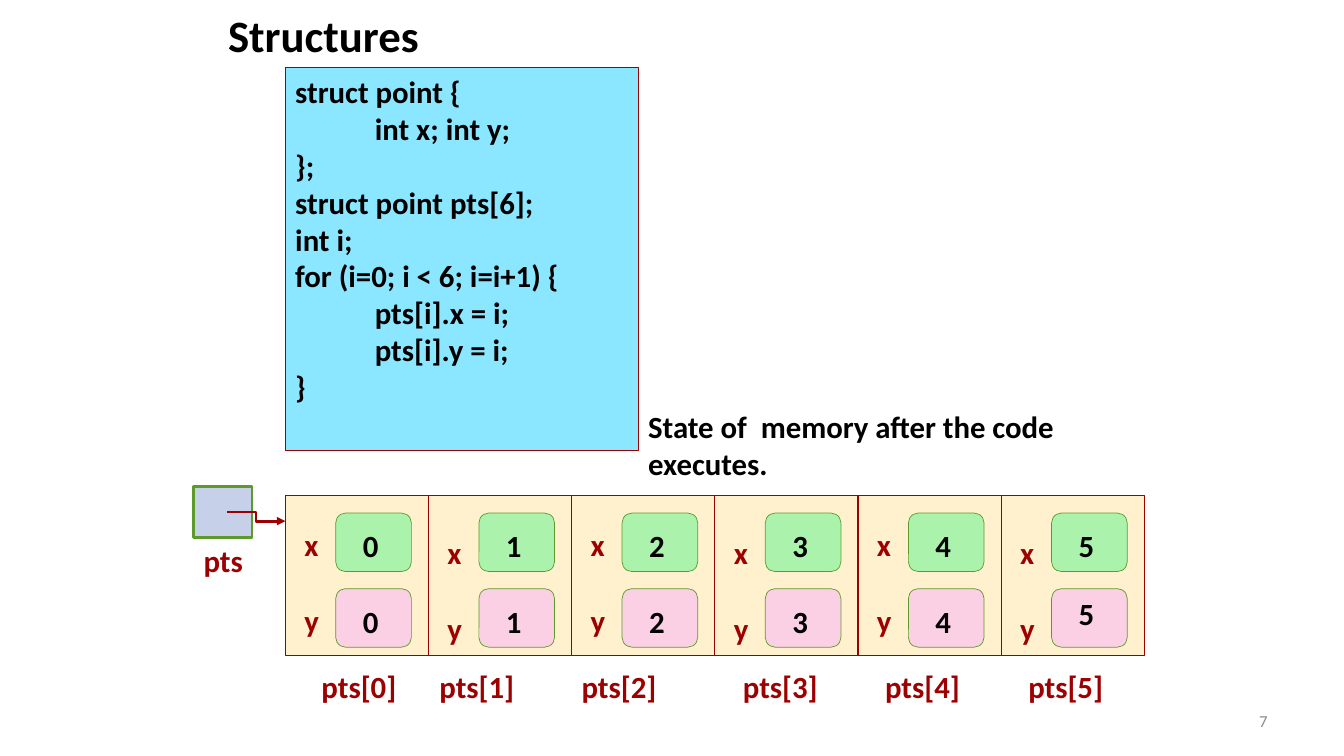
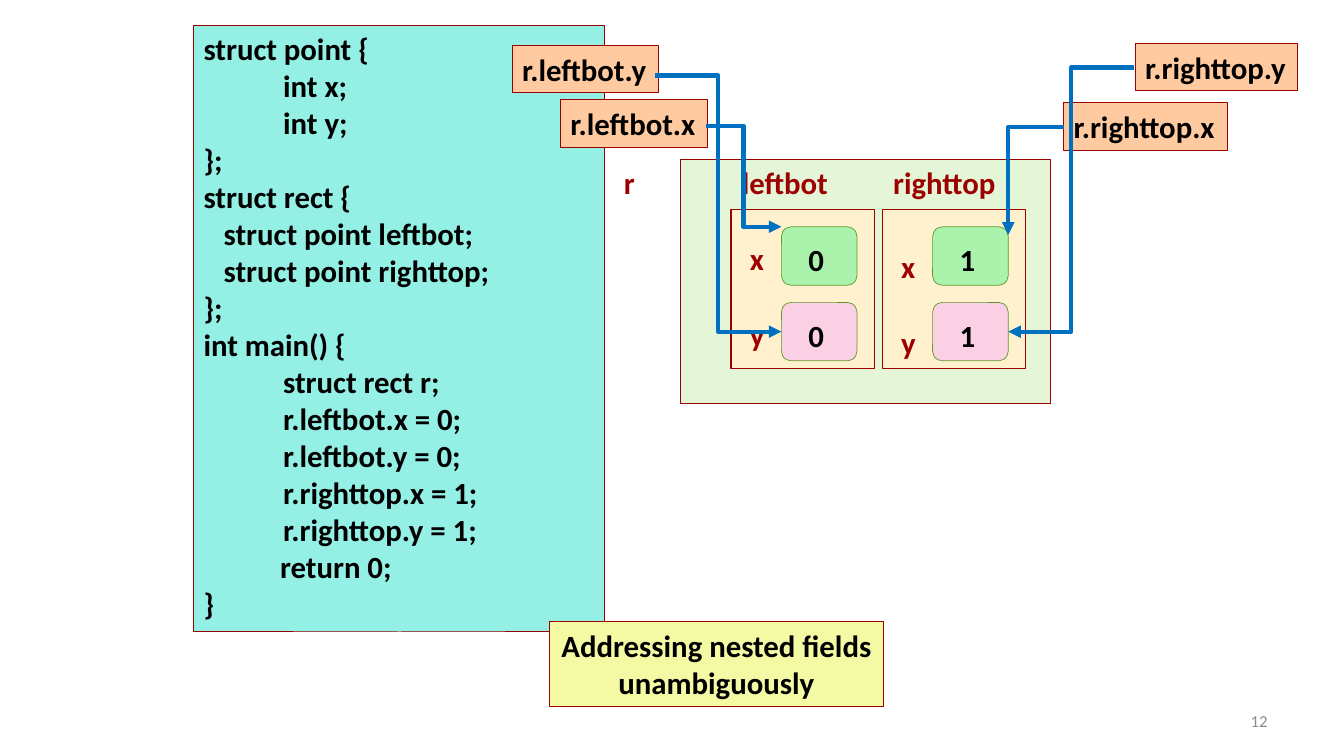
from lxml import etree
from pptx import Presentation
from pptx.dml.color import RGBColor
from pptx.enum.shapes import MSO_CONNECTOR, MSO_SHAPE
from pptx.enum.text import MSO_ANCHOR, MSO_AUTO_SIZE, PP_ALIGN
from pptx.oxml.ns import qn
from pptx.util import Inches, Pt

RECT, ROUNDED = MSO_SHAPE.RECTANGLE, MSO_SHAPE.ROUNDED_RECTANGLE
ELBOW = MSO_CONNECTOR.ELBOW
LEFT, CENTER, RIGHT = PP_ALIGN.LEFT, PP_ALIGN.CENTER, PP_ALIGN.RIGHT
TOP, MIDDLE = MSO_ANCHOR.TOP, MSO_ANCHOR.MIDDLE
FIT_SHAPE = MSO_AUTO_SIZE.SHAPE_TO_FIT_TEXT

BLACK = RGBColor(0x00, 0x00, 0x00)
GRAY = RGBColor(0x8C, 0x8C, 0x8C)
DARK_RED = RGBColor(0x9D, 0x00, 0x00)
BLUE = RGBColor(0x00, 0x70, 0xC0)
GREEN = RGBColor(0x5D, 0x9A, 0x2B)
SKY = RGBColor(0x8B, 0xE6, 0xFF)
TURQUOISE = RGBColor(0x94, 0xF0, 0xE4)
CREAM = RGBColor(0xFF, 0xF1, 0xCE)
MINT = RGBColor(0xAB, 0xF3, 0xAD)
PINK = RGBColor(0xFB, 0xD0, 0xE4)
LAVENDER = RGBColor(0xC7, 0xD0, 0xE9)
PALE_GREEN = RGBColor(0xE5, 0xF6, 0xD8)
ORANGE = RGBColor(0xFF, 0xCA, 0x9F)
YELLOW = RGBColor(0xF4, 0xFA, 0xA4)

FONT = "Calibri"
BODY_SIZE = 22
TEXT_H = 0.47
CELL_W, CELL_H = 1.42, 1.58
FIELD_PITCH = 0.75
TAB = 0.79


class Deck:
    """Holds the presentation, its style and the current slide."""

    def __init__(self):
        self.prs = Presentation()
        self.prs.slide_width = Inches(13.33)
        self.prs.slide_height = Inches(7.5)
        self.shapes = None

    def new_slide(self, number):
        self.shapes = self.prs.slides.add_slide(self.prs.slide_layouts[6]).shapes
        self.text(9.56, 6.95, 3.11, 0.4, str(number), GRAY, size=12,
                  bold=False, align=RIGHT, anchor=MIDDLE, wrap=True)

    def set_text(self, shape, lines, color=BLACK, size=BODY_SIZE, bold=True,
                 align=LEFT, anchor=TOP, wrap=False):
        """Fill a shape with lines, each a string or an (indent, string) pair."""
        frame = shape.text_frame
        frame.word_wrap = wrap
        frame.vertical_anchor = anchor
        if not wrap:
            frame.auto_size = FIT_SHAPE
        for index, line in enumerate(lines):
            indent, content = (0, line) if isinstance(line, str) else line
            paragraph = frame.paragraphs[0] if index == 0 else frame.add_paragraph()
            paragraph.text = content
            paragraph.alignment = align
            font = paragraph.font
            font.name, font.size, font.bold = FONT, Pt(size), bold
            font.color.rgb = color
            if indent:
                paragraph_props = paragraph._p.get_or_add_pPr()
                paragraph_props.set("marL", str(Inches(indent)))
                paragraph_props.set("indent", "0")

    def text(self, x, y, w, h, content, color=BLACK, **style):
        box = self.shapes.add_textbox(Inches(x), Inches(y), Inches(w), Inches(h))
        self.set_text(box, [content], color, **style)

    def label(self, x, y, w, content):
        self.text(x, y, w, TEXT_H, content, DARK_RED)

    def box(self, x, y, w, h, fill, line=DARK_RED, weight=0.75, kind=RECT):
        shape = self.shapes.add_shape(kind, Inches(x), Inches(y), Inches(w), Inches(h))
        shape.shadow.inherit = False
        shape.fill.solid()
        shape.fill.fore_color.rgb = fill
        shape.line.color.rgb = line
        shape.line.width = Pt(weight)
        return shape

    def code(self, x, y, w, h, fill, lines):
        self.set_text(self.box(x, y, w, h, fill), lines, wrap=True)

    def tag(self, x, y, w, h, fill, *lines, align=LEFT):
        self.set_text(self.box(x, y, w, h, fill), lines, align=align)

    def value(self, x, y, content, fill, raised=0):
        field = self.box(x, y, 0.75, 0.58, fill, GREEN, 0.5, ROUNDED)
        self.set_text(field, [content], wrap=True)
        frame = field.text_frame
        frame.margin_left, frame.margin_right = Inches(0.24), 0
        frame.margin_top, frame.margin_bottom = Inches(0.11 - raised), 0

    def point(self, x, y, content, label_drop=0, y_raised=0):
        """Draw a struct point with its x and y fields."""
        self.box(x, y, CELL_W, CELL_H, CREAM)
        fields = (("x", MINT, 0), ("y", PINK, y_raised))
        for row, (name, fill, raised) in enumerate(fields):
            top = y + row * FIELD_PITCH
            self.value(x + 0.5, top + 0.17, content, fill, raised)
            self.label(x + 0.09, top + 0.25 + label_drop, 0.34, name)

    def arrow(self, start, end, color=BLUE, weight=3, single_bend=False):
        connector = self.shapes.add_connector(
            ELBOW, *(Inches(length) for length in (*start, *end)))
        connector.line.color.rgb = color
        connector.line.width = Pt(weight)
        props = connector._element.spPr
        if single_bend:
            props.find(qn("a:prstGeom")).set("prst", "bentConnector2")
        etree.SubElement(props.find(qn("a:ln")), qn("a:tailEnd"), type="triangle")
        etree.SubElement(props, qn("a:effectLst"))


def array_slide(deck):
    deck.new_slide(7)
    deck.text(1.75, 0.03, 2.92, 0.63, "Structures", size=32, align=CENTER, wrap=True)
    deck.code(2.83, 0.67, 3.5, 3.8, SKY, [
        "struct point {",
        (TAB, "int x; int y;"),
        "};",
        "struct point pts[6];",
        "int i;",
        "for (i=0; i < 6; i=i+1) {",
        (TAB, "pts[i].x = i;"),
        (TAB, "pts[i].y = i;"),
        "}",
    ])
    deck.text(6.33, 4, 5.08, 0.84, "State of  memory after the code executes.", wrap=True)

    name_offsets = (0.26, 0.01, 0, 0.18, 0.17, 0.17)
    for i, offset in enumerate(name_offsets):
        x = 2.83 + i * CELL_W
        deck.point(x, 4.92, str(i), label_drop=0.08 * (i % 2),
                   y_raised=0.08 if i == 5 else 0)
        deck.label(x + offset, 6.58, 0.95, f"pts[{i}]")

    deck.box(1.92, 4.83, 0.58, 0.5, LAVENDER, GREEN, 2)
    deck.label(1.92, 5.33, 0.59, "pts")
    deck.arrow((2.25, 5.08), (2.83, 5.17), DARK_RED, 2)


def nested_slide(deck):
    deck.new_slide(12)
    deck.code(1.92, 0.25, 4.08, 6.02, TURQUOISE, [
        "struct point {",
        (TAB, "int x;"),
        (TAB, "int y;"),
        "};",
        "struct rect {",
        (0.2, "struct point leftbot;"),
        (0.2, "struct point righttop;"),
        "};",
        "int main() {",
        (TAB, "struct rect r;"),
        (TAB, "r.leftbot.x = 0;"),
        (TAB, "r.leftbot.y = 0;"),
        (TAB, "r.righttop.x = 1;"),
        (TAB, "r.righttop.y = 1;"),
        (0.76, "return 0;"),
        "}",
    ])

    deck.box(6.75, 1.58, 3.67, 2.42, PALE_GREEN)
    deck.label(6.09, 1.58, 0.31, "r")
    for i, (corner, width) in enumerate((("leftbot", 1.07), ("righttop", 1.23))):
        x = 7.25 + i * 1.5
        deck.point(x, 2.08, str(i), label_drop=0.08 * i)
        deck.label(x + 0.01, 1.58, width, corner)

    for x, y, width, field in (
        (5.08, 0.45, 1.45, "r.leftbot.y"),
        (5.56, 0.99, 1.46, "r.leftbot.x"),
        (11.26, 0.43, 1.61, "r.righttop.y"),
        (10.55, 1.02, 1.62, "r.righttop.x"),
    ):
        deck.tag(x, y, width, TEXT_H, ORANGE, field)

    deck.arrow((6.5, 0.75), (7.75, 3.29))
    deck.arrow((7, 1.25), (7.75, 2.25))
    deck.arrow((10.55, 1.26), (10, 2.33), single_bend=True)
    deck.arrow((11.25, 0.67), (10, 3.29))
    deck.tag(5.45, 6.17, 3.31, 0.84, YELLOW,
             "Addressing nested fields", "unambiguously", align=CENTER)


def main():
    deck = Deck()
    array_slide(deck)
    nested_slide(deck)
    deck.prs.save("out.pptx")


if __name__ == "__main__":
    main()
